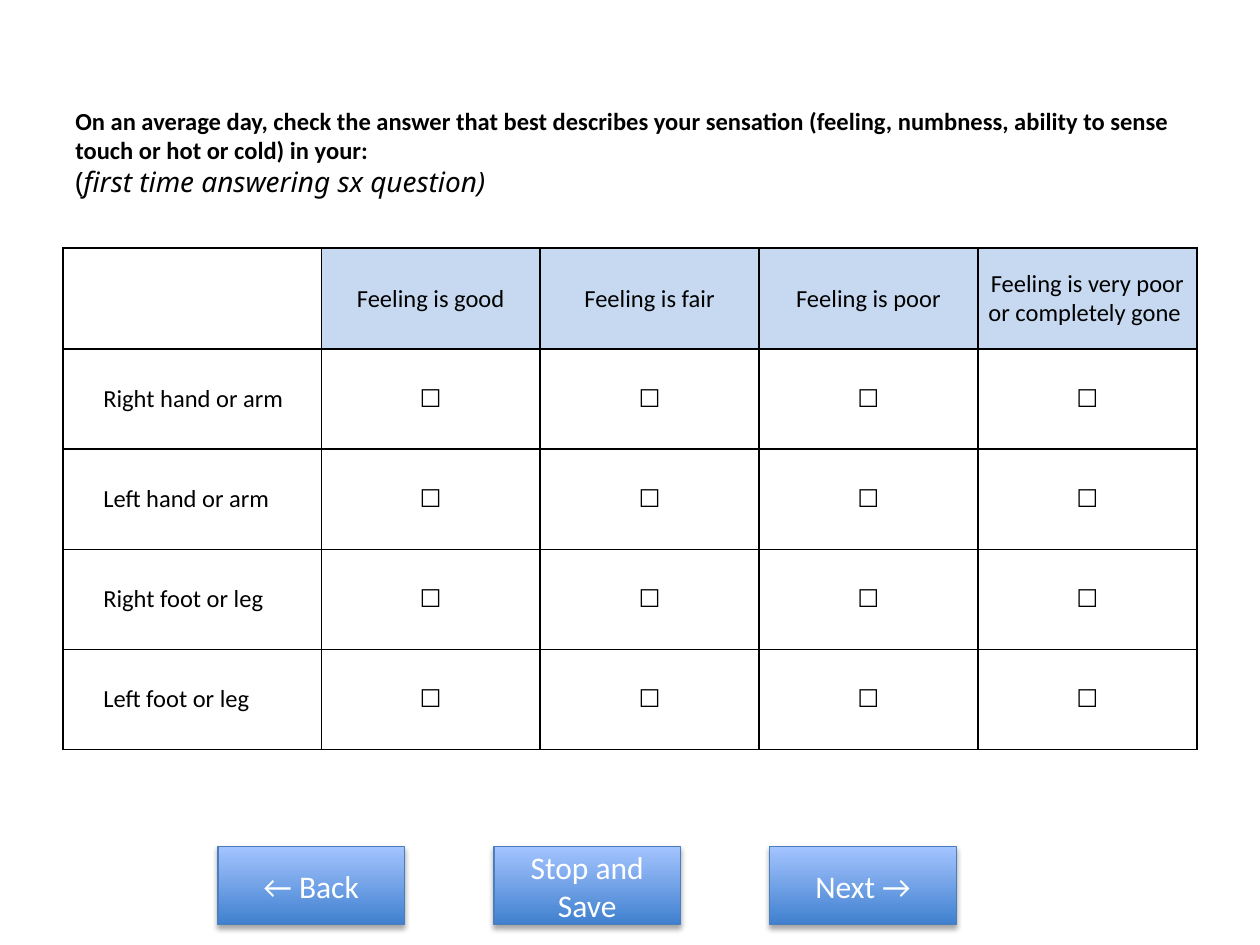
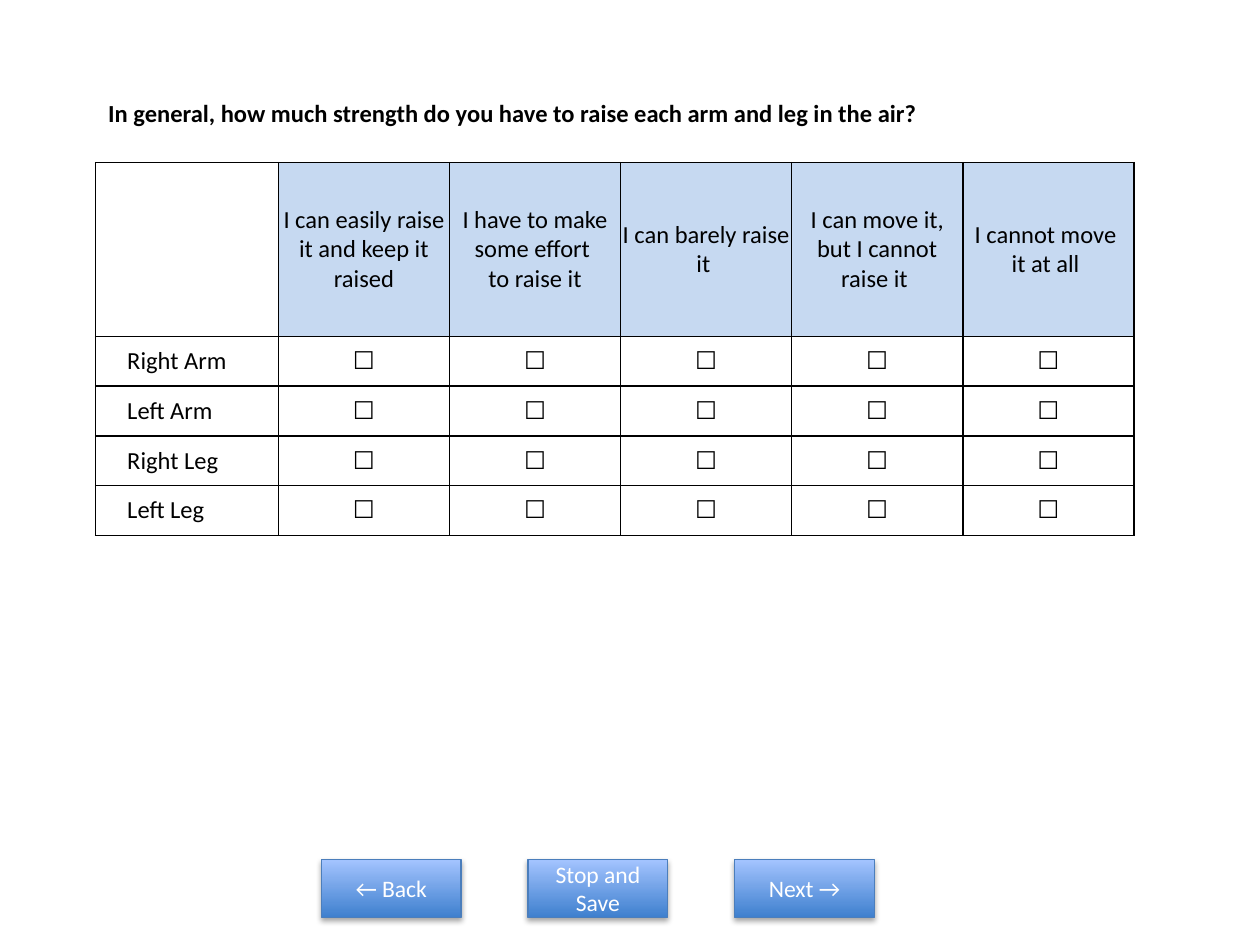
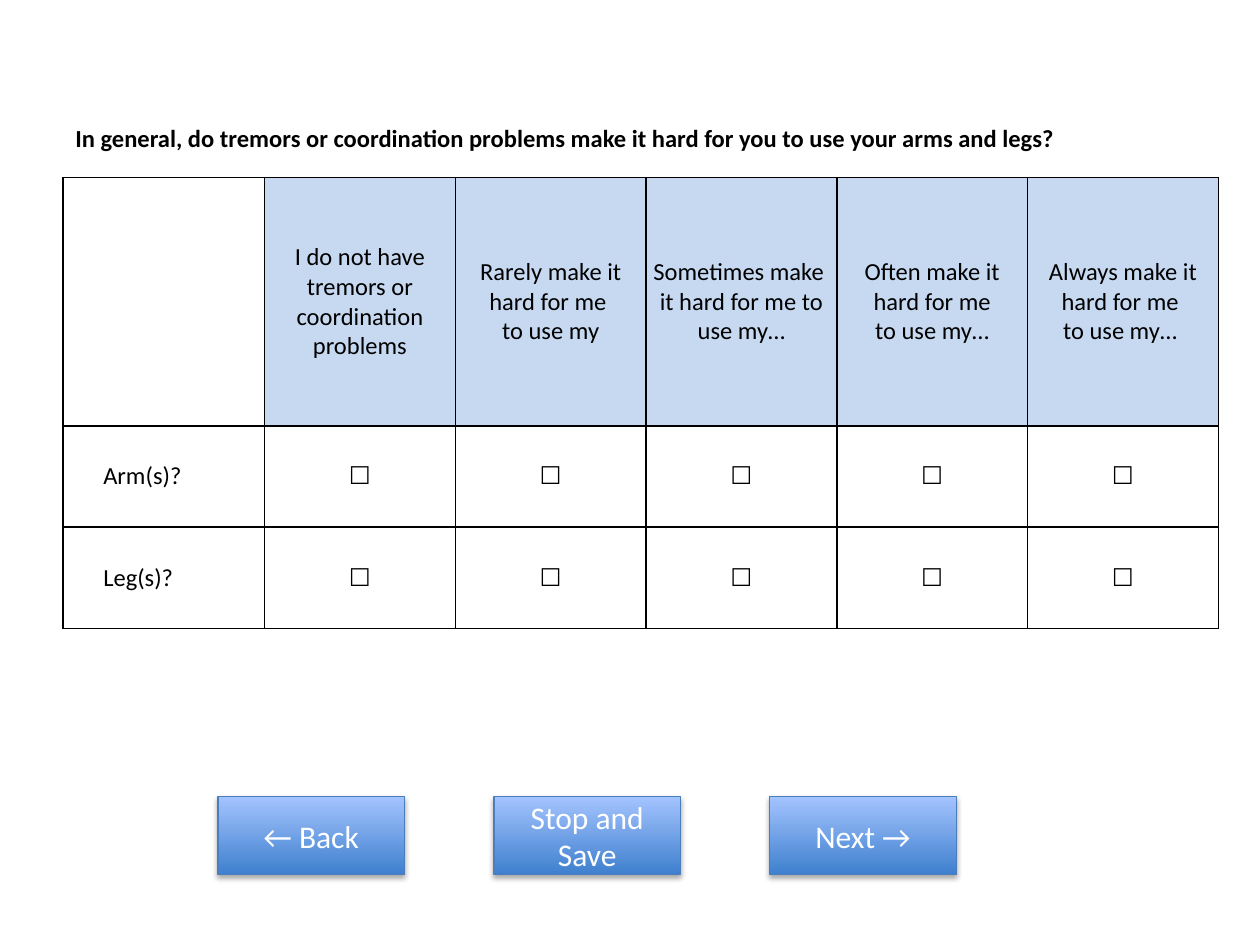
import pptx
import pptx.util
import pptx.dml.color
import pptx.enum.shapes
import pptx.enum.text
import pptx.oxml
import pptx.oxml.ns

# Content: boxes are left, top, width, height in inches
COLORS = {"text": "000000", "header": "C6D9F1", "border": "000000", "button_text": "FFFFFF",
          "button_bottom": "3F80CE", "button_top": "A4C4FF", "button_line": "4B7EBC"}
FONT = "Calibri"
NOTE_FONT = "Noto Sans"
BOX = "☐"
BUTTONS = ["← Back", "Stop and Save", "Next →"]

SLIDES = [
    {"question": "On an average day, check the answer that best describes your sensation "
                 "(feeling, numbness, ability to sense touch or hot or cold) in your:",
     "note": ("(", "first time answering sx question)"),
     "title_box": (0.5, 0.58, 9, 1.25), "title_bottom": 0.05,
     "answers": ["Feeling is good", "Feeling is fair", "Feeling is poor",
                 "Feeling is very poor or completely gone "],
     "items": ["Right hand or arm", "Left hand or arm", "Right foot or leg", "Left foot or leg"],
     "table_box": (0.5, 1.97, 9, 3.98), "label_width": 2.05, "header_height": 0.8, "indent": 0.32,
     "first_button": (1.73, 6.72, 1.48, 0.62), "button_step": 2.19, "button_size": 18},
    {"question": "In general, how much strength do you have to raise each arm and leg in the air?",
     "title_box": (0.76, 0.54, 6.75, 0.94), "title_bottom": 0.28,
     "answers": ["I can easily raise it and keep it raised",
                 "I have to make some effort \nto raise it",
                 "I can barely raise it ",
                 "I can move it, but I cannot raise it ",
                 "I cannot move \nit at all "],
     "items": ["Right Arm", "Left Arm", "Right Leg", "Left Leg"],
     "table_box": (0.76, 1.29, 8.24, 2.96), "label_width": 1.45, "header_height": 1.38, "indent": 0.25,
     "first_button": (2.55, 6.82, 1.11, 0.46), "button_step": 1.64, "button_size": 13.5},
    {"question": "In general, do tremors or coordination problems make it hard for you "
                 "to use your arms and legs?",
     "title_box": (0.5, 0.69, 9, 1.25), "title_bottom": 0.49,
     "answers": ["I do not have tremors or coordination problems",
                 "Rarely make it hard for me \nto use my",
                 "Sometimes make \nit hard for me to use my…",
                 "Often make it\nhard for me\nto use my…",
                 "Always make it hard for me \nto use my… "],
     "items": ["Arm(s)?", "Leg(s)?"],
     "table_box": (0.5, 1.41, 9.17, 3.58), "label_width": 1.6, "header_height": 1.97, "indent": 0.32,
     "first_button": (1.73, 6.32, 1.48, 0.62), "button_step": 2.19, "button_size": 18},
]

inches = pptx.util.Inches
ALIGN = pptx.enum.text.PP_ALIGN
MIDDLE = pptx.enum.text.MSO_ANCHOR.MIDDLE


def rgb(name):
    return pptx.dml.color.RGBColor.from_string(COLORS[name])


def parse_xml(tag, attributes, inner):
    return pptx.oxml.parse_xml(
        f'<a:{tag} {pptx.oxml.ns.nsdecls("a")} {attributes}>{inner}</a:{tag}>')


def write(paragraph, text, font=FONT, size=14, bold=False, italic=False, color="text", align=ALIGN.LEFT):
    paragraph.alignment = align
    run = paragraph.add_run()
    run.text = text
    run.font.name = font
    run.font.size = pptx.util.Pt(size)
    run.font.bold = bold
    run.font.italic = italic
    run.font.color.rgb = rgb(color)


def add_title(slide, content):
    text_box = slide.shapes.add_textbox(*map(inches, content["title_box"]))
    frame = text_box.text_frame
    frame.word_wrap = True
    frame.vertical_anchor = MIDDLE
    frame.margin_bottom = inches(content["title_bottom"])
    paragraph = frame.paragraphs[0]
    write(paragraph, content["question"], bold=True)
    if "note" in content:
        bracket, note = content["note"]
        paragraph.add_line_break()
        write(paragraph, bracket, font=NOTE_FONT, size=16)
        write(paragraph, note, font=NOTE_FONT, size=16, italic=True)


def format_cell(cell, text, align=ALIGN.CENTER, indent=0, fill=None):
    cell.margin_left = inches(indent)
    cell.margin_right = cell.margin_top = cell.margin_bottom = 0
    cell.vertical_anchor = MIDDLE
    properties = cell._tc.get_or_add_tcPr()
    for side in ("lnL", "lnR", "lnT", "lnB"):
        properties.append(parse_xml(
            side, 'w="12700"',
            f'<a:solidFill><a:srgbClr val="{COLORS["border"]}"/></a:solidFill>'))
    if fill:
        cell.fill.solid()
        cell.fill.fore_color.rgb = rgb(fill)
    else:
        cell.fill.background()
    if not text:
        return
    frame = cell.text_frame
    for index, line in enumerate(text.split("\n")):
        paragraph = frame.add_paragraph() if index else frame.paragraphs[0]
        write(paragraph, line, align=align)


def add_answer_table(slide, content):
    answers, items = content["answers"], content["items"]
    left, top, width, height = content["table_box"]
    table = slide.shapes.add_table(len(items) + 1, len(answers) + 1,
                                   *map(inches, content["table_box"])).table
    table.first_row = table.horz_banding = False

    # The label column and header row are fixed; the others share the rest
    answer_width = (width - content["label_width"]) / len(answers)
    item_height = (height - content["header_height"]) / len(items)
    for index, column in enumerate(table.columns):
        column.width = inches(answer_width if index else content["label_width"])
    for index, row in enumerate(table.rows):
        row.height = inches(item_height if index else content["header_height"])

    format_cell(table.cell(0, 0), "")
    for column, answer in enumerate(answers, 1):
        format_cell(table.cell(0, column), answer, fill="header")
    for row, item in enumerate(items, 1):
        format_cell(table.cell(row, 0), item, align=ALIGN.LEFT, indent=content["indent"])
        for column in range(1, len(answers) + 1):
            format_cell(table.cell(row, column), BOX)


def add_buttons(slide, content):
    left, top, width, height = content["first_button"]
    for index, label in enumerate(BUTTONS):
        button = slide.shapes.add_shape(
            pptx.enum.shapes.MSO_SHAPE.RECTANGLE,
            inches(left + index * content["button_step"]), inches(top), inches(width), inches(height))
        button.fill.gradient()
        button.fill.gradient_angle = 90
        for stop, name in zip(button.fill.gradient_stops, ("button_bottom", "button_top")):
            stop.color.rgb = rgb(name)
        button.line.color.rgb = rgb("button_line")
        button.line.width = pptx.util.Pt(0.75)

        # Soft shadow below the button
        button.shadow.inherit = False
        effects = button._element.spPr.find(pptx.oxml.ns.qn("a:effectLst"))
        effects.append(parse_xml(
            "outerShdw", 'blurRad="40000" dist="23000" dir="5400000" rotWithShape="0"',
            '<a:srgbClr val="000000"><a:alpha val="35000"/></a:srgbClr>'))

        frame = button.text_frame
        frame.word_wrap = True
        frame.vertical_anchor = MIDDLE
        write(frame.paragraphs[0], label, size=content["button_size"],
              color="button_text", align=ALIGN.CENTER)


def main():
    presentation = pptx.Presentation()
    presentation.slide_width = inches(10)
    presentation.slide_height = inches(7.5)
    blank_layout = presentation.slide_layouts[6]
    for content in SLIDES:
        slide = presentation.slides.add_slide(blank_layout)
        add_title(slide, content)
        add_answer_table(slide, content)
        add_buttons(slide, content)
    presentation.save("out.pptx")


if __name__ == "__main__":
    main()
